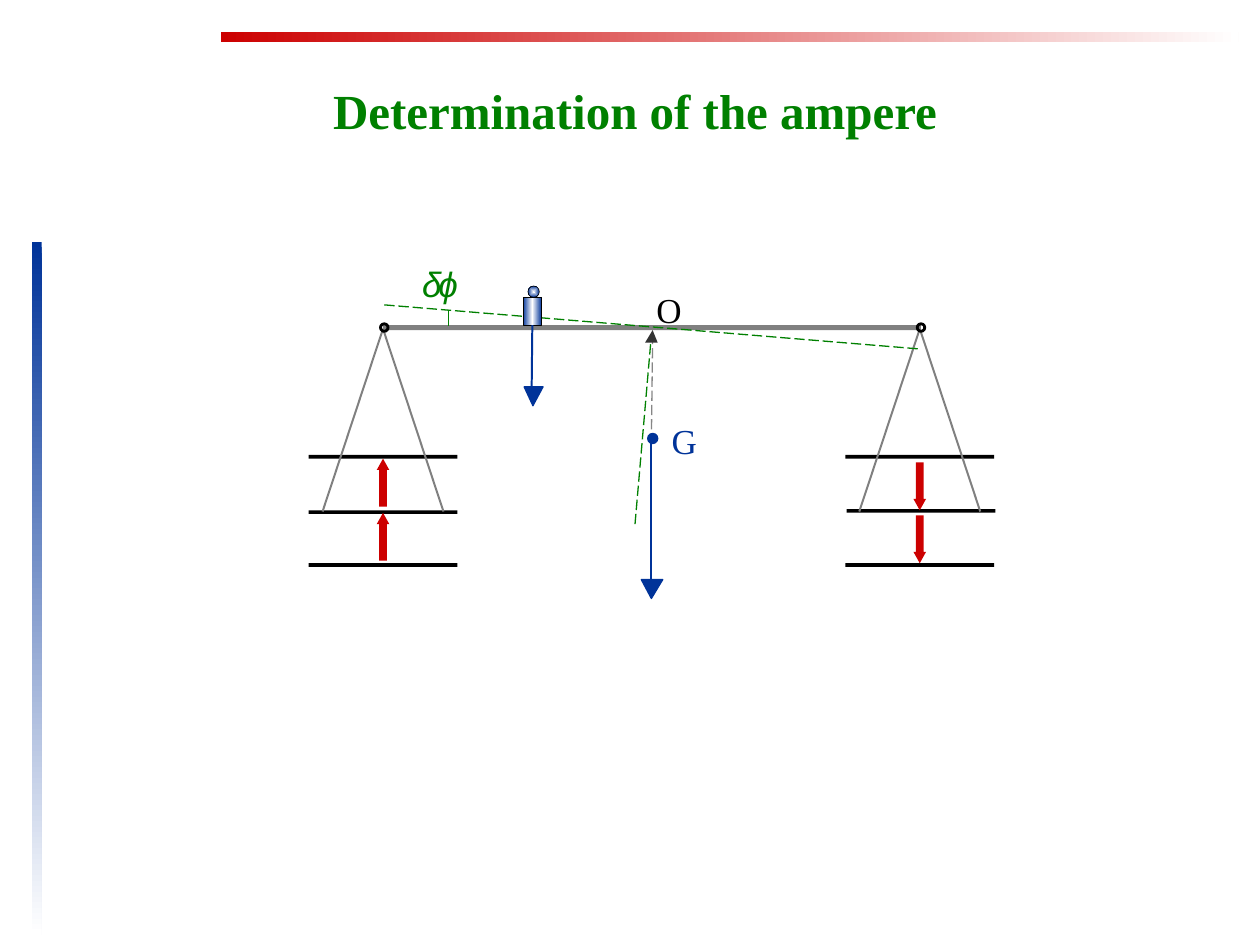
from dataclasses import dataclass

import lxml.etree
import pptx
import pptx.dml.color
import pptx.enum.dml
import pptx.enum.shapes
import pptx.enum.text
import pptx.oxml
import pptx.oxml.ns
import pptx.util

PX = 9144
COLORS = {"red": "CC0000", "blue": "003399", "green": "008000", "grey": "808080",
          "light": "868686", "dark": "333333", "black": "000000", "white": "FFFFFF"}
RECTANGLE = pptx.enum.shapes.MSO_SHAPE.RECTANGLE
OVAL = pptx.enum.shapes.MSO_SHAPE.OVAL
LINEAR = '<a:lin ang="{}" scaled="0"/>'
FROM_CENTRE = '<a:path path="rect"><a:fillToRect l="50000" t="50000" r="50000" b="50000"/></a:path>'


@dataclass
class Box:
    left: int
    top: int
    width: int
    height: int

    def emu(self) -> list:
        return [value * PX for value in (self.left, self.top, self.width, self.height)]


@dataclass
class Segment:
    start: tuple
    end: tuple
    color: str
    weight: float
    dashed: bool = False


@dataclass
class Label:
    text: str
    box: Box
    color: str
    font: str = "Times New Roman"
    size: int = 20
    italic: bool = False


@dataclass
class Tray:
    centre: int
    plate_tops: tuple
    arrow_tips: tuple
    direction: int
    middle_shift: int


def rgb(name: str):
    return pptx.dml.color.RGBColor.from_string(COLORS[name])


def style(shape, fill: str = "", outline: str = "", weight: float = 0.75):
    shape.shadow.inherit = False
    if fill:
        shape.fill.solid()
        shape.fill.fore_color.rgb = rgb(fill)
    else:
        shape.fill.background()
    if outline:
        shape.line.color.rgb = rgb(outline)
        shape.line.width = pptx.util.Pt(weight)
    else:
        shape.line.fill.background()
    return shape


def draw_box(slide, kind, box: Box, fill: str = "", outline: str = "", weight: float = 0.75):
    return style(slide.shapes.add_shape(kind, *box.emu()), fill, outline, weight)


def set_gradient(shape, names: list, direction: str) -> None:
    shape.fill.gradient()
    gradient = shape._element.spPr.find(pptx.oxml.ns.qn("a:gradFill"))
    stops = "".join(
        f'<a:gs pos="{100000 * index // (len(names) - 1)}"><a:srgbClr val="{COLORS[name]}"/></a:gs>'
        for index, name in enumerate(names))
    content = pptx.oxml.parse_xml(
        f'<a:gradFill {pptx.oxml.ns.nsdecls("a")}><a:gsLst>{stops}</a:gsLst>{direction}</a:gradFill>')
    gradient.getparent().replace(gradient, content)


def draw_polygon(slide, points: list, fill: str, outline: str = ""):
    builder = slide.shapes.build_freeform(*points[0], scale=PX)
    builder.add_line_segments(points[1:], close=True)
    return style(builder.convert_to_shape(), fill, outline)


def draw_segment(slide, segment: Segment):
    ends = [value * PX for value in (*segment.start, *segment.end)]
    connector = slide.shapes.add_connector(pptx.enum.shapes.MSO_CONNECTOR.STRAIGHT, *ends)
    connector.line.color.rgb = rgb(segment.color)
    connector.line.width = pptx.util.Pt(segment.weight)
    if segment.dashed:
        connector.line.dash_style = pptx.enum.dml.MSO_LINE.LONG_DASH
    lxml.etree.SubElement(connector._element.spPr, pptx.oxml.ns.qn("a:effectLst"))
    return connector


def draw_force_tip(slide, left: int, top: int, width: int) -> None:
    draw_polygon(slide, [(left, top), (left + width // 2, top + 15), (left + width, top)],
                 "blue", "blue")


def draw_force_arrow(slide, centre: int, tip: int, direction: int) -> None:
    neck, tail = tip - 9 * direction, tip - 38 * direction
    outline = [(-5, neck), (-3, neck), (-3, tail), (3, tail), (3, neck), (5, neck), (0, tip)]
    draw_polygon(slide, [(centre + offset, y) for offset, y in outline], "red")


def draw_tray(slide, tray: Tray) -> None:
    for index, top in enumerate(tray.plate_tops):
        left = tray.centre - 59 + (tray.middle_shift if index == 1 else 0)
        draw_box(slide, RECTANGLE, Box(left, top, 118, 3), "black")
    for offset in (-48, 48):
        draw_segment(slide, Segment((tray.centre + offset, 406), (tray.centre, 261), "grey", 1.13))


def draw_label(slide, label: Label):
    text_box = slide.shapes.add_textbox(*label.box.emu())
    frame = text_box.text_frame
    frame.margin_left = frame.margin_right = frame.margin_top = frame.margin_bottom = 0
    frame.word_wrap = False
    frame.text = label.text
    font = frame.paragraphs[0].runs[0].font
    font.name = label.font
    font.size = pptx.util.Pt(label.size)
    font.italic = label.italic
    font.color.rgb = rgb(label.color)
    return text_box


TRAYS = [Tray(304, (361, 405, 447), (364, 407), -1, 0),
         Tray(730, (361, 404, 447), (405, 447), 1, 1)]
TILT_LINES = [Segment((356, 247), (356, 259), "green", 0.62),
              Segment((504, 416), (517, 266), "green", 0.75, True),
              Segment((305, 242), (730, 277), "green", 0.75, True)]
LABELS = [Label("δ", Box(335, 208, 14, 33), "green", "Arial", italic=True),
          Label("ϕ", Box(348, 208, 17, 33), "green", "Arial", italic=True),
          Label("O", Box(521, 229, 20, 33), "black"),
          Label("G", Box(533, 333, 20, 33), "blue")]


def main() -> None:
    presentation = pptx.Presentation()
    presentation.slide_width, presentation.slide_height = 1000 * PX, 750 * PX
    slide = presentation.slides.add_slide(presentation.slide_layouts[6])

    top_bar = draw_box(slide, RECTANGLE, Box(175, 25, 808, 8))
    set_gradient(top_bar, ["red", "white"], LINEAR.format(0))
    side_bar = draw_box(slide, RECTANGLE, Box(25, 192, 8, 550))
    set_gradient(side_bar, ["blue", "white"], LINEAR.format(5400000))

    title = draw_label(slide, Label("Determination of the ampere", Box(75, 33, 858, 108),
                                    "green", size=28))
    title.text_frame.word_wrap = True
    title.text_frame.vertical_anchor = pptx.enum.text.MSO_ANCHOR.MIDDLE
    heading = title.text_frame.paragraphs[0]
    heading.alignment = pptx.enum.text.PP_ALIGN.CENTER
    heading.runs[0].font.bold = True

    draw_segment(slide, Segment((517, 350), (517, 460), "blue", 1.13))
    draw_force_tip(slide, 509, 460, 17)

    for tray in TRAYS:
        draw_tray(slide, tray)
    draw_box(slide, RECTANGLE, Box(304, 258, 427, 4), "grey")
    for tray in TRAYS:
        draw_box(slide, OVAL, Box(tray.centre - 2, 257, 6, 6), "", "black", 1.62)
    for segment in TILT_LINES:
        draw_segment(slide, segment)
    for tray in TRAYS:
        for tip in tray.arrow_tips:
            draw_force_arrow(slide, tray.centre, tip, tray.direction)

    draw_segment(slide, Segment((518, 265), (517, 350), "light", 0.75, True))
    for label in LABELS:
        draw_label(slide, label)

    knob = draw_box(slide, OVAL, Box(419, 227, 9, 9), "", "black", 0.37)
    set_gradient(knob, ["white", "blue"], FROM_CENTRE)
    weight = draw_box(slide, RECTANGLE, Box(415, 236, 15, 22), "", "black", 0.37)
    set_gradient(weight, ["blue", "white", "blue"], LINEAR.format(0))
    weight_force = draw_segment(slide, Segment((422, 258), (422, 307), "blue", 1.13))
    weight_force.begin_connect(weight, 2)
    draw_force_tip(slide, 416, 307, 15)

    draw_box(slide, OVAL, Box(514, 344, 8, 8), "blue", "blue")
    draw_polygon(slide, [(518, 262), (512, 272), (522, 272)], "dark")
    presentation.save("out.pptx")


if __name__ == "__main__":
    main()
